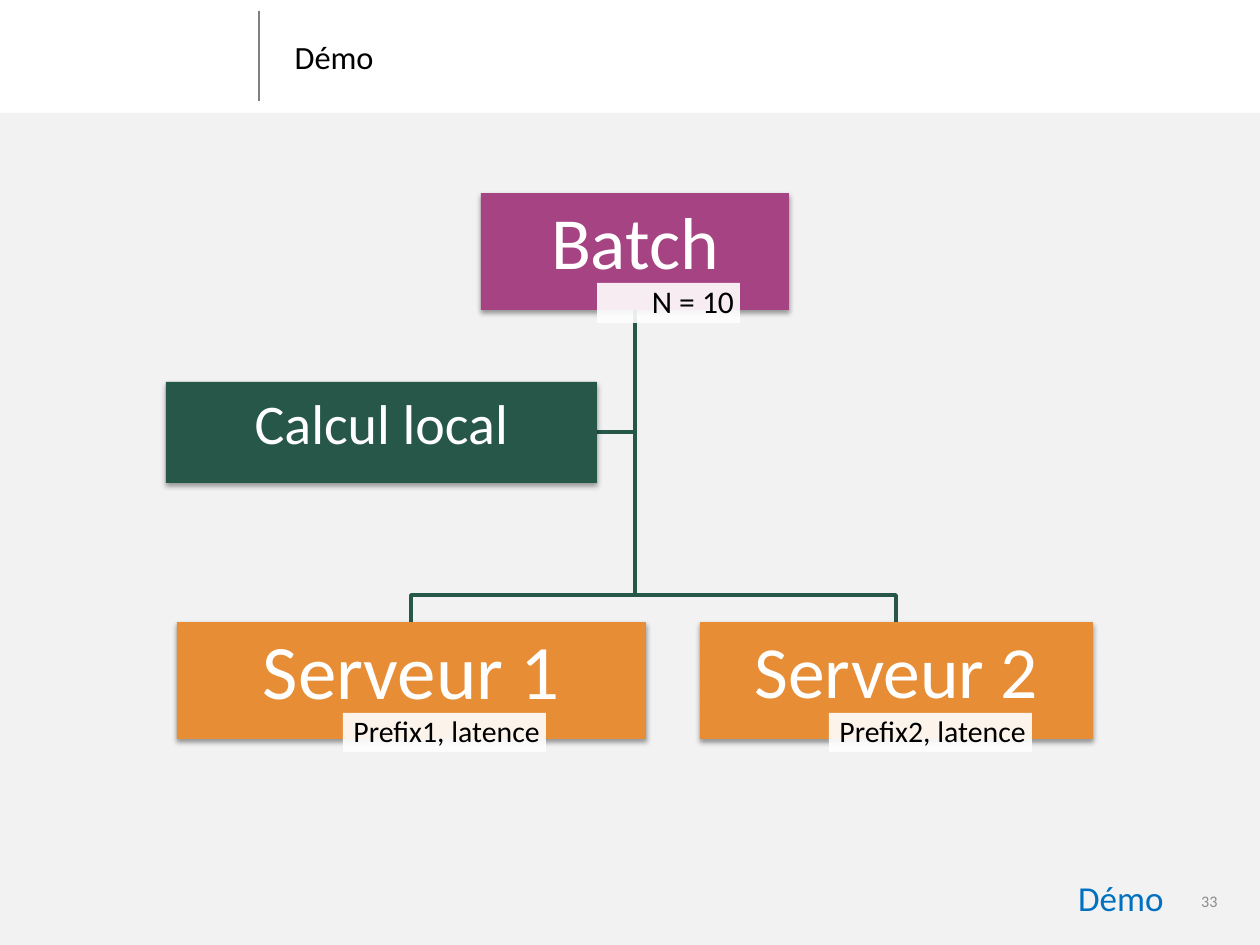
from lxml.etree import SubElement
from pptx import Presentation
from pptx.dml.color import RGBColor
from pptx.enum.shapes import MSO_CONNECTOR, MSO_SHAPE
from pptx.enum.text import MSO_ANCHOR, PP_ALIGN
from pptx.oxml.ns import qn
from pptx.util import Pt

EMU_PER_PX = 914400 / 126
WHITE = RGBColor(0xFF, 0xFF, 0xFF)
BLACK = RGBColor(0x00, 0x00, 0x00)
PANEL = RGBColor(0xF2, 0xF2, 0xF2)
RULE = RGBColor(0x80, 0x80, 0x80)
NUMBER = RGBColor(0x8C, 0x8C, 0x8C)
BLUE = RGBColor(0x00, 0x70, 0xC0)
PURPLE = RGBColor(0xA6, 0x43, 0x82)
GREEN = RGBColor(0x27, 0x57, 0x48)
ORANGE = RGBColor(0xE7, 0x8D, 0x35)


def px(*lengths):
    """Turn pixel lengths into EMU."""
    return [round(length * EMU_PER_PX) for length in lengths]


class Painter:
    """Draws the elements of one slide in a shared style."""

    font = "Calibri"

    def __init__(self, page):
        """Keep the slide to draw on."""
        self.page = page
        self.shapes = page.shapes

    def set_text(self, box, text, size, color, align, insets=None, spacing=None):
        """Put one formatted paragraph in a shape."""
        frame = box.text_frame
        frame.text = text
        frame.word_wrap = True
        frame.vertical_anchor = MSO_ANCHOR.MIDDLE
        if insets:
            (frame.margin_left, frame.margin_top,
             frame.margin_right, frame.margin_bottom) = px(*insets)
        para = frame.paragraphs[0]
        para.alignment = align
        para.line_spacing = spacing
        span = para.runs[0]
        span.font.name = self.font
        span.font.size = Pt(size)
        span.font.color.rgb = color

    def title(self, place, text, size):
        """Move and format the title placeholder."""
        box = self.shapes.title
        box.left, box.top, box.width, box.height = px(*place)
        self.set_text(box, text, size, BLACK, PP_ALIGN.LEFT)

    def text(self, place, text, size, color):
        """Add a right-aligned text box."""
        box = self.shapes.add_textbox(*px(*place))
        self.set_text(box, text, size, color, PP_ALIGN.RIGHT)

    def rectangle(self, place, color):
        """Add a plain filled rectangle."""
        box = self.shapes.add_shape(MSO_SHAPE.RECTANGLE, *px(*place))
        box.shadow.inherit = False
        box.fill.solid()
        box.fill.fore_color.rgb = color
        box.line.fill.background()
        return box

    def node(self, place, text, size, color):
        """Add a chart node with a soft shadow."""
        box = self.rectangle(place, color)
        effects = box._element.spPr.find(qn("a:effectLst"))
        shadow = SubElement(effects, qn("a:outerShdw"), blurRad=str(Pt(3.1)),
                            dist=str(Pt(1.6)), dir="5400000", rotWithShape="0")
        black = SubElement(shadow, qn("a:srgbClr"), val="000000")
        SubElement(black, qn("a:alpha"), val="38000")
        self.set_text(box, text, size, WHITE, PP_ALIGN.CENTER, (4, 4, 4, 16), 0.9)

    def tag(self, place, text, size):
        """Add a translucent white label."""
        box = self.rectangle(place, WHITE)
        color = box._element.spPr.find(qn("a:solidFill"))[0]
        SubElement(color, qn("a:alpha"), val="90000")
        self.set_text(box, text, size, BLACK, PP_ALIGN.RIGHT, (6, 1, 6, 1), 0.9)

    def line(self, ends, color, width):
        """Add a straight line."""
        line = self.shapes.add_connector(MSO_CONNECTOR.STRAIGHT, *px(*ends))
        line.line.color.rgb = color
        line.line.width = Pt(width)
        SubElement(line._element.spPr, qn("a:effectLst"))

    def branch(self, points):
        """Add an open angled outline."""
        start, *others = points
        builder = self.shapes.build_freeform(*start, scale=EMU_PER_PX)
        builder.add_line_segments(others, close=False)
        outline = builder.convert_to_shape()
        outline.shadow.inherit = False
        outline.fill.background()
        outline.line.color.rgb = GREEN
        outline.line.width = Pt(2)


def main():
    """Build the slide and save it."""
    deck = Presentation()
    deck.slide_width, deck.slide_height = px(1260, 945)
    painter = Painter(deck.slides.add_slide(deck.slide_layouts[5]))

    painter.rectangle((0, 113, 1260, 832), PANEL)
    painter.line((259, 11, 259, 101), RULE, 1)
    painter.title((282, 0, 978, 113), "Démo", 18.5)
    painter.text((1128, 876, 102, 50), "33", 9.2, NUMBER)
    painter.text((0, 849, 1176, 96), "Démo", 20, BLUE)

    trunk, root_bottom, fork, server_top = 635, 310, 595, 622
    servers = [("1", 177, 469, 44, 343), ("2", 700, 393, 42, 829)]
    painter.branch([(trunk, root_bottom), (trunk, 432), (597, 432)])
    for _, left, width, _, _ in servers:
        middle = left + width // 2
        painter.branch([(trunk, root_bottom), (trunk, fork),
                        (middle, fork), (middle, server_top)])

    painter.node((481, 193, 308, 117), "Batch", 42, PURPLE)
    painter.tag((597, 283, 143, 40), "N = 10", 18)
    for number, left, width, size, tag_left in servers:
        painter.node((left, server_top, width, 117), f"Serveur {number}", size, ORANGE)
        painter.tag((tag_left, 713, 203, 39), f"Prefix{number}, latence", 17)
    painter.node((166, 382, 431, 101), "Calcul local", 32, GREEN)

    deck.save("out.pptx")


if __name__ == "__main__":
    main()
